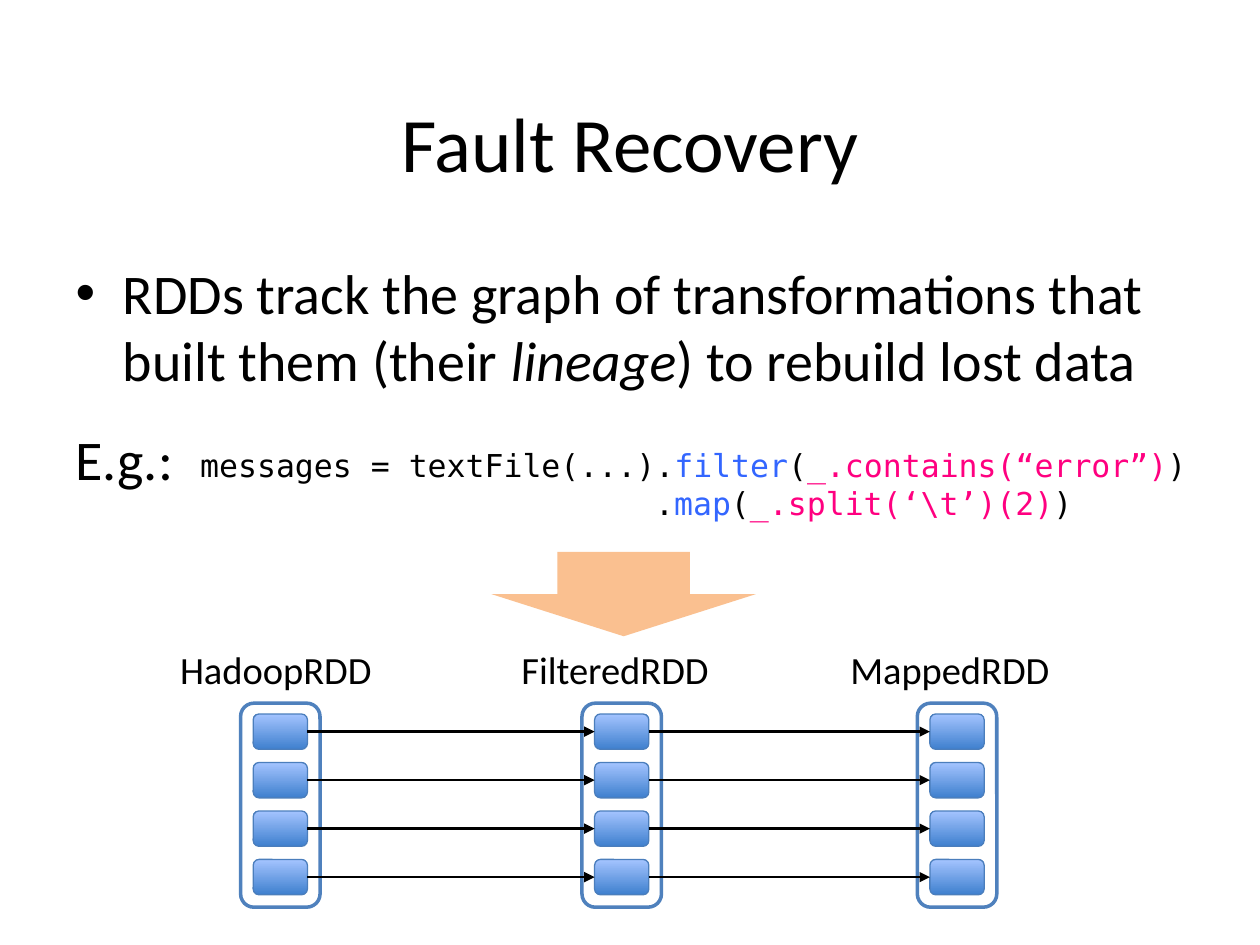
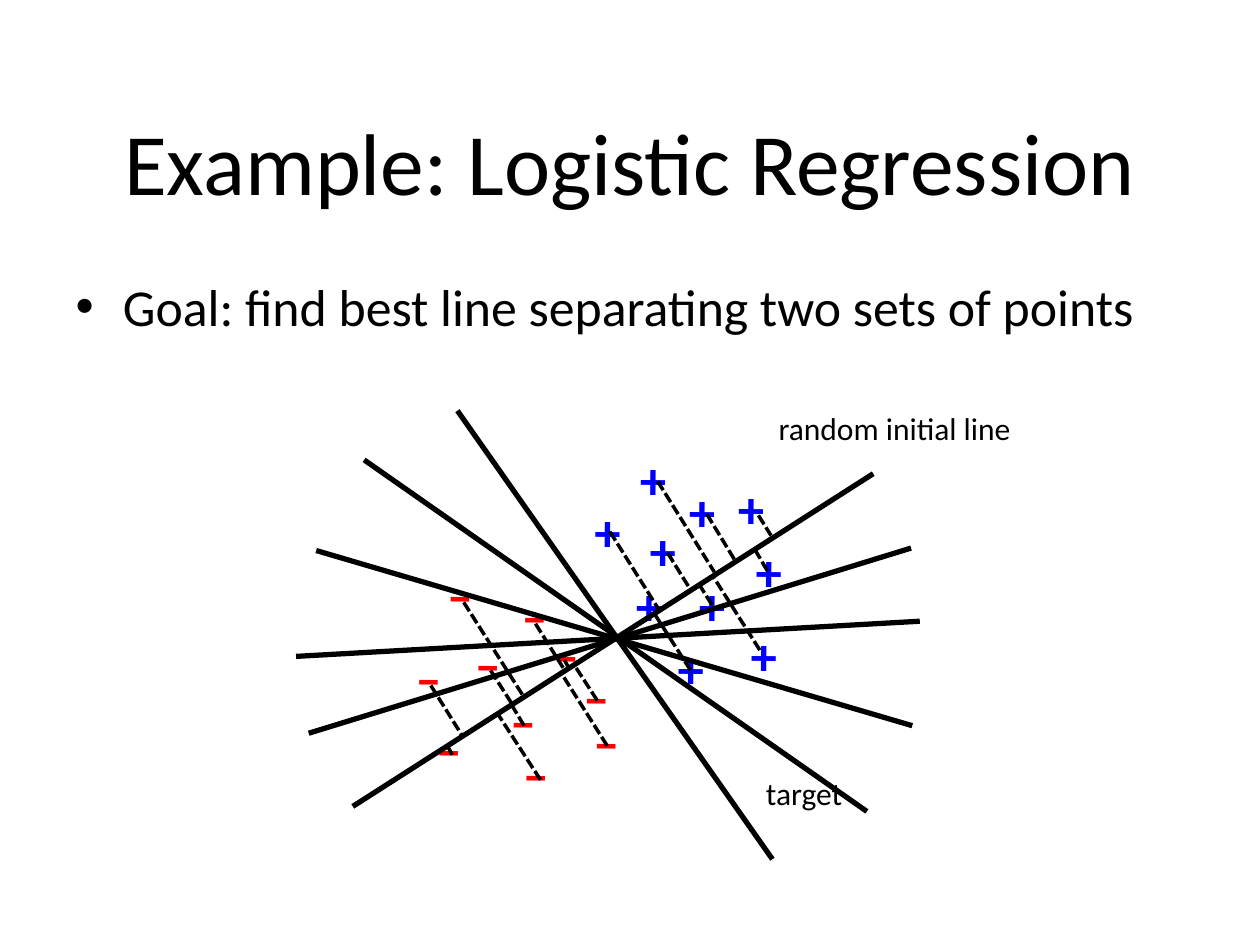
from itertools import pairwise

from pptx import Presentation
from pptx.dml.color import RGBColor
from pptx.enum.dml import MSO_LINE as Dash
from pptx.enum.shapes import MSO_CONNECTOR as Link, MSO_SHAPE as Kind
from pptx.enum.text import MSO_ANCHOR as Anchor, MSO_AUTO_SIZE as Fit, PP_ALIGN as Align
from pptx.oxml.ns import qn
from pptx.util import Pt

BLACK = RGBColor(0x00, 0x00, 0x00)
WHITE = RGBColor(0xFF, 0xFF, 0xFF)
PEACH = RGBColor(0xFA, 0xC0, 0x90)
BORDER = RGBColor(0x4F, 0x81, 0xBD)
EDGE = RGBColor(0x4B, 0x7E, 0xBC)
DEEP = RGBColor(0x3F, 0x80, 0xCE)
PALE = RGBColor(0xA4, 0xC4, 0xFF)
CALL = RGBColor(0x33, 0x66, 0xFF)
PINK = RGBColor(0xFF, 0x00, 0x80)
BLUE = RGBColor(0x00, 0x00, 0xFF)
RED = RGBColor(0xFF, 0x00, 0x00)
SANS, MONO = "Calibri", "DejaVu Sans Mono"


def write(frame, paras, size=18, font=SANS, color=BLACK, bold=None, align=None, before=None):
    """Each paragraph is a string or a list of strings and (string, format) pairs."""
    for i, runs in enumerate(paras):
        para = frame.paragraphs[0] if i == 0 else frame.add_paragraph()
        para.alignment = align
        if before is not None:
            para.space_before = Pt(before)
        for part in [runs] if isinstance(runs, str) else runs:
            text, own = (part, {}) if isinstance(part, str) else part
            run = para.add_run()
            run.text = text
            face = run.font
            face.name, face.size, face.bold = font, Pt(size), bold
            face.italic = own.get("italic")
            face.color.rgb = own.get("color", color)


def indent(para, left):
    props = para._p.get_or_add_pPr()
    props.set("marL", str(Pt(left)))
    props.set("indent", "0")
    return props


class Deck:
    def __init__(self):
        self.prs = Presentation()
        self.prs.slide_width, self.prs.slide_height = Pt(720), Pt(540)

    def start(self, title, top, size):
        self.slide = self.prs.slides.add_slide(self.prs.slide_layouts[1])
        self.shapes = self.slide.shapes
        self.fill(self.shapes.title, [title], (36, top, 648, 90), size=size,
                  anchor=Anchor.MIDDLE, align=Align.CENTER)

    def fill(self, holder, paras, box, anchor=Anchor.TOP, **fmt):
        holder.left, holder.top, holder.width, holder.height = map(Pt, box)
        frame = holder.text_frame
        frame.auto_size, frame.vertical_anchor = Fit.NONE, anchor
        write(frame, paras, **fmt)
        return frame

    def body(self, paras, box, **fmt):
        return self.fill(self.slide.placeholders[1], paras, box, **fmt)

    def text(self, paras, box, wrap=True, turn=0, **fmt):
        label = self.shapes.add_textbox(*map(Pt, box))
        label.rotation = turn
        frame = label.text_frame
        frame.word_wrap, frame.auto_size = wrap, Fit.SHAPE_TO_FIT_TEXT
        write(frame, paras, **fmt)
        return frame

    def shape(self, kind, box, fill, line=None, width=0.75):
        item = self.shapes.add_shape(kind, *map(Pt, box))
        item.shadow.inherit = False
        if isinstance(fill, RGBColor):
            item.fill.solid()
            item.fill.fore_color.rgb = fill
        else:
            item.fill.gradient()
            item.fill.gradient_angle = 90
            for stop, color in zip(item.fill.gradient_stops, fill):
                stop.color.rgb = color
        if line is None:
            item.line.fill.background()
        else:
            item.line.color.rgb, item.line.width = line, Pt(width)

    def line(self, ends, width, dash=None, arrow=False):
        link = self.shapes.add_connector(Link.STRAIGHT, *map(Pt, ends))
        link.line.color.rgb, link.line.width = BLACK, Pt(width)
        if dash:
            link.line.dash_style = dash
        props = link._element.spPr
        if arrow:
            tail = props.makeelement(qn("a:tailEnd"), {"type": "triangle"})
            props.find(qn("a:ln")).append(tail)
        props.append(props.makeelement(qn("a:effectLst"), {}))


def recovery(deck):
    deck.start("Fault Recovery", 36, 44)
    deck.shape(Kind.DOWN_ARROW, (280.8, 315.4, 151.2, 48.2), PEACH)
    frame = deck.body([
        ["RDDs track the graph of transformations that built them (their ",
         ("lineage", {"italic": True}), ") to rebuild lost data"],
        "E.g.:"], (36, 144, 653.8, 179.3), size=32, before=18)
    props = indent(frame.paragraphs[1], 0)
    props.append(props.makeelement(qn("a:buNone"), {}))

    # Code, with the second call under the first
    call, pink = {"color": CALL}, {"color": PINK}
    code = deck.text([
        ["messages = textFile(...).", ("filter", call), "(",
         ("_.contains(“error”)", pink), ")"],
        [".", ("map", call), "(", ("_.split(‘\\t’)(2)", pink), ")"]],
        (107.3, 251.3, 583.9, 52), font=MONO)
    indent(code.paragraphs[1], 260)

    # Datasets with four partitions each
    rows = [408 + 27.7 * i for i in range(4)]
    sets = [("HadoopRDD", 137.5, 95.8, 130.3), ("FilteredRDD", 332.6, 290.9, 128.2),
            ("MappedRDD", 524.2, 478.8, 133.2)]
    for name, left, start, width in sets:
        deck.shape(Kind.ROUNDED_RECTANGLE, (left, 401.8, 45.4, 116.6), WHITE, BORDER, 2)
        for top in rows:
            deck.shape(Kind.ROUNDED_RECTANGLE, (left + 7.2, top, 31, 20.2), (DEEP, PALE), EDGE)
        deck.text([name], (start, 365.8, width, 33.8), wrap=False, size=22)
    for a, b in pairwise(sets):
        for top in rows:
            mid = top + 10.1
            deck.line((a[1] + 38.2, mid, b[1] + 7.2, mid), 1.5, arrow=True)


PLUS = [(364.3, 292.3), (356.4, 324), (424.8, 304.6), (392.4, 324), (386.6, 270),
        (421.9, 352.8), (332.6, 281.5), (358.6, 252), (414.7, 268.6), (380.2, 360)]
MINUS = [(284.4, 389.5), (264.2, 357.1), (308.9, 352.1), (290.9, 329.8), (241.9, 405.4),
         (248.4, 317.5), (326.2, 375.8), (291.6, 419.8), (331.9, 401.8), (230.4, 365)]
RAYS = [(261.4, 234.7, 441.4, 491), (201.6, 460.8, 499, 270.7),
        (176.4, 419, 520.6, 313.2), (169.2, 375.1, 525.6, 355),
        (180.7, 314.6, 521.3, 414.7), (208.1, 262.8, 495.4, 463.7)]
DROPS = [(299.5, 414.7, 293, 403.9), (403.9, 293.8, 420.5, 321.1),
         (381.6, 316.1, 394.6, 337), (375.8, 275, 408.2, 326.9),
         (433.4, 294.5, 440.6, 306), (348.5, 303.8, 376.6, 348.5),
         (438.5, 326.2, 431.3, 313.9), (406.8, 345.6, 399.6, 334.1),
         (434.2, 371.5, 408.2, 330.5), (394.6, 383, 374.4, 351.4),
         (265, 344.2, 298.8, 397.4), (306, 356.4, 321.8, 381.6),
         (246.2, 391.7, 264.2, 420.5), (341.3, 400.3, 328.3, 380.2),
         (283.7, 406.8, 308.9, 445.7), (347, 426.2, 321.1, 385.2),
         (258.5, 431.3, 255.6, 426.2), (325.4, 382.3, 322.6, 377.3),
         (292.3, 401.8, 279.4, 381.6)]


def regression(deck):
    deck.start("Example: Logistic Regression", 46.8, 50)
    deck.body(["Goal: find best line separating two sets of points"],
              (36, 153.4, 648, 74.2), size=29.6)

    # Two sets of points
    for sign, color, width, spots in (("+", BLUE, 32.4, PLUS), ("–", RED, 31.7, MINUS)):
        for left, top in spots:
            deck.text([sign], (left, top, width, 43.9), wrap=False, turn=0.4,
                      size=30, color=color, bold=True)

    # Candidate lines and distances to the first one
    for ends in RAYS:
        deck.line(ends, 3)
    for ends in DROPS:
        deck.line(ends, 2, dash=Dash.SQUARE_DOT)
    deck.text(["target"], (430.6, 438.5, 77, 36.7), wrap=False)
    deck.text(["random initial line"], (414, 230.4, 194.4, 36.7), wrap=False,
              align=Align.CENTER)


def main():
    deck = Deck()
    recovery(deck)
    regression(deck)
    deck.prs.save("out.pptx")


if __name__ == "__main__":
    main()
